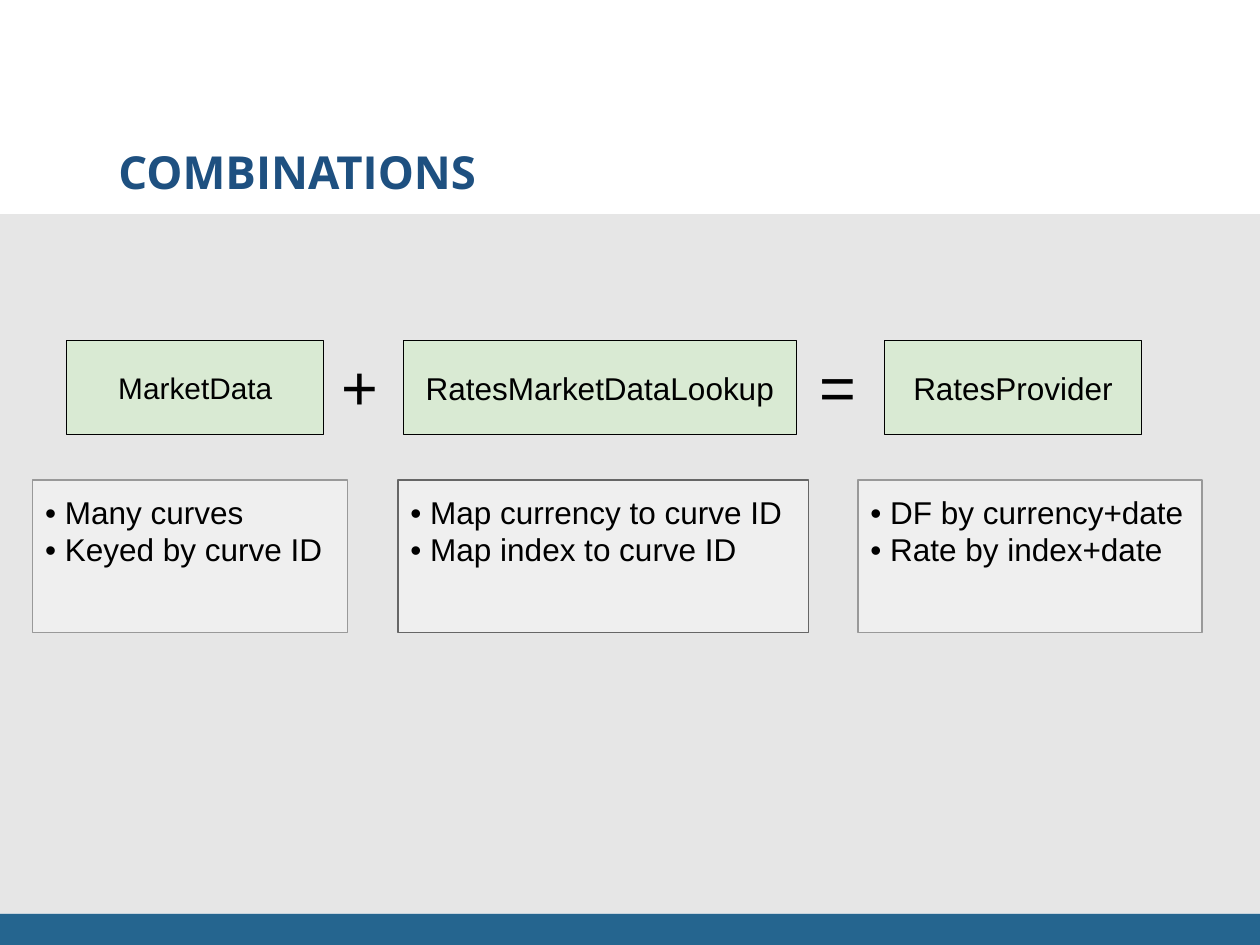
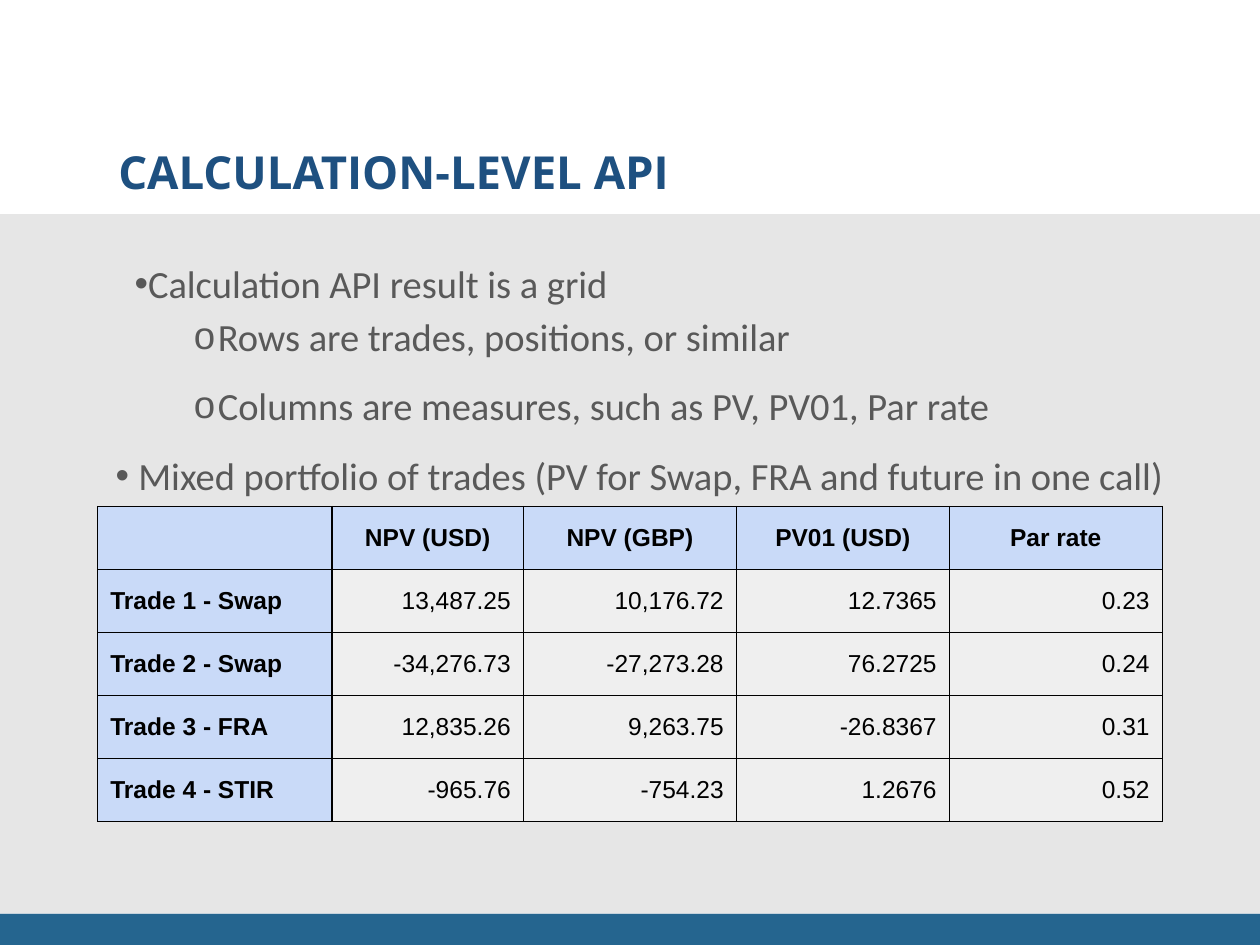
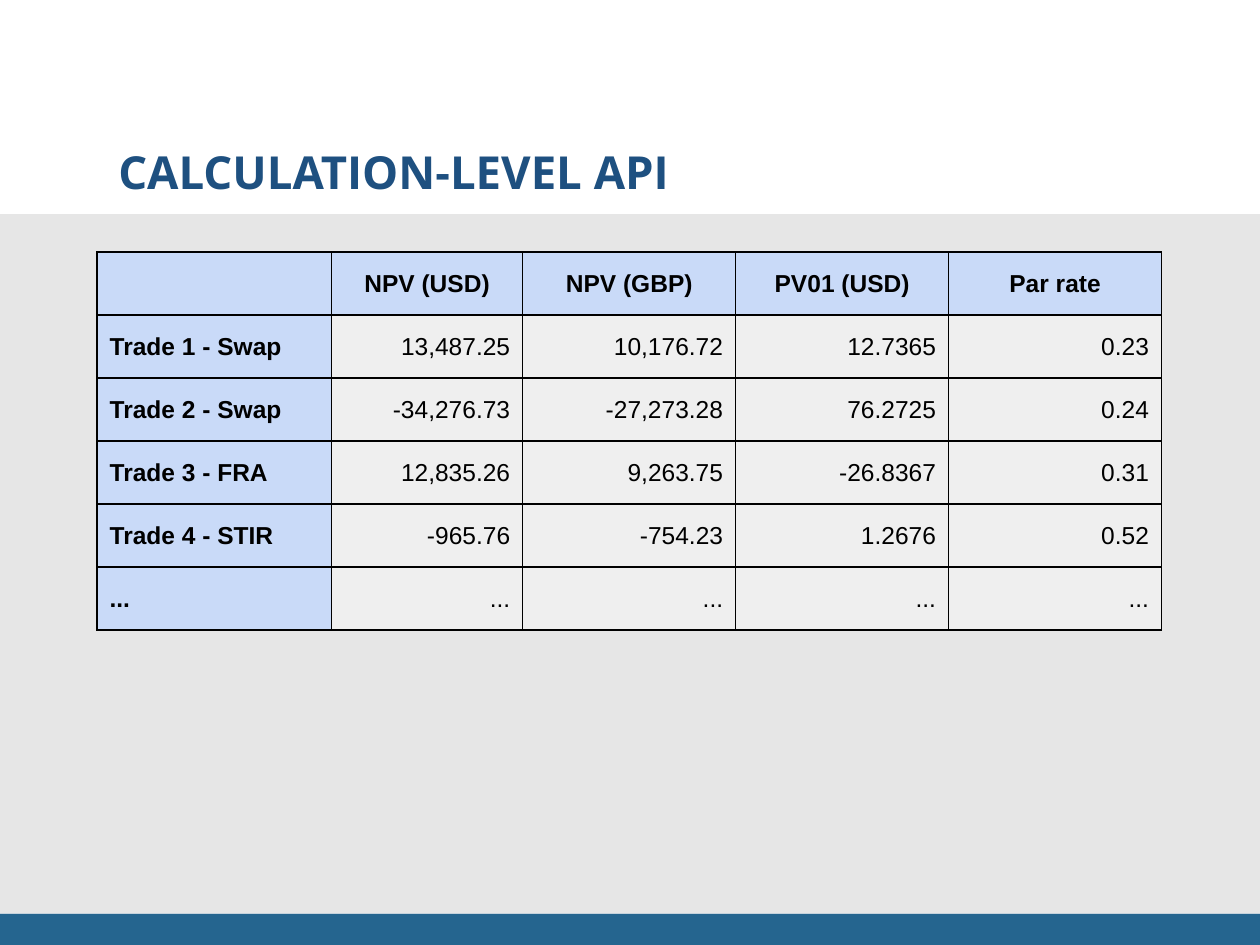
from lxml import etree
from pptx import Presentation
from pptx.dml.color import RGBColor
from pptx.enum.shapes import MSO_SHAPE
from pptx.enum.text import MSO_ANCHOR, PP_ALIGN
from pptx.oxml.ns import qn
from pptx.util import Pt

RECTANGLE = MSO_SHAPE.RECTANGLE
TOP, MIDDLE = MSO_ANCHOR.TOP, MSO_ANCHOR.MIDDLE
LEFT, CENTER, RIGHT = PP_ALIGN.LEFT, PP_ALIGN.CENTER, PP_ALIGN.RIGHT

BLACK = RGBColor(0x00, 0x00, 0x00)
TITLE_BLUE = RGBColor(0x1E, 0x50, 0x80)
FOOTER_BLUE = RGBColor(0x25, 0x65, 0x8F)
PANEL_GRAY = RGBColor(0xE6, 0xE6, 0xE6)
BOX_GRAY = RGBColor(0xEF, 0xEF, 0xEF)
LIGHT_LINE = RGBColor(0x99, 0x99, 0x99)
DARK_LINE = RGBColor(0x66, 0x66, 0x66)
BODY_GRAY = RGBColor(0x59, 0x59, 0x59)
GREEN = RGBColor(0xD9, 0xEA, 0xD3)
HEADER_BLUE = RGBColor(0xC9, 0xDA, 0xF8)
LINE_WIDTH = 0.75
INSET = 7.2

# Content: name, text size, left, width
TERMS = [
    ("MarketData", 17, 38.16, 146.88),
    ("RatesMarketDataLookup", 18, 230.4, 224.64),
    ("RatesProvider", 18, 505.44, 146.88),
]
OPERATORS = [("+", 187.92), ("=", 461.52)]
# Content: lines, left, width, outline
DETAILS = [
    (["• Many curves", "• Keyed by curve ID"], 18.72, 180, LIGHT_LINE),
    (["• Map currency to curve ID", "• Map index to curve ID"], 227.52, 234.72, DARK_LINE),
    (["• DF by currency+date", "• Rate by index+date"], 490.32, 196.56, LIGHT_LINE),
]
# Content: text, bullet, level, margin, indent, line spacing
API_POINTS = [
    ("Calculation API result is a grid", "•", 0, 12.96, -2.16, 1.15),
    ("Rows are trades, positions, or similar", "o", 1, 58.32, -13.68, 1.15),
    ("Columns are measures, such as PV, PV01, Par rate", "o", 1, 58.32, -13.68, 1.5),
    ("Mixed portfolio of trades (PV for Swap, FRA and future in one call)",
     "•", 0, 12.96, -15.12, 1.5),
]
TRADES = [
    ("", "NPV (USD)", "NPV (GBP)", "PV01 (USD)", "Par rate"),
    ("Trade 1 - Swap", "13,487.25", "10,176.72", "12.7365", "0.23"),
    ("Trade 2 - Swap", "-34,276.73", "-27,273.28", "76.2725", "0.24"),
    ("Trade 3 - FRA", "12,835.26", "9,263.75", "-26.8367", "0.31"),
    ("Trade 4 - STIR", "-965.76", "-754.23", "1.2676", "0.52"),
]
MORE_TRADES = ("...",) * 5
COLUMN_WIDTHS = [133.92, 109.44, 121.68, 121.68, 121.68]
ROW_HEIGHT = 36


def write(frame, lines, size=18, font="Arial", color=BLACK, bold=False,
          align=LEFT, anchor=TOP, inset_y=INSET):
    """Fill a text frame with one paragraph per line."""
    frame.word_wrap = True
    frame.vertical_anchor = anchor
    frame.margin_left = frame.margin_right = Pt(INSET)
    frame.margin_top = frame.margin_bottom = Pt(inset_y)
    for number, line in enumerate(lines):
        para = frame.add_paragraph() if number else frame.paragraphs[0]
        para.alignment = align
        span = para.add_run()
        span.text = line
        span.font.name, span.font.size = font, Pt(size)
        span.font.bold, span.font.color.rgb = bold, color


def add_box(page, left, top, width, height, fill, outline=None):
    box = page.shapes.add_shape(RECTANGLE, Pt(left), Pt(top), Pt(width), Pt(height))
    box.shadow.inherit = False
    box.fill.solid()
    box.fill.fore_color.rgb = fill
    if outline is None:
        box.line.fill.background()
    else:
        box.line.color.rgb = outline
        box.line.width = Pt(LINE_WIDTH)
    return box


def add_text(page, left, top, width, height, lines, **style):
    box = page.shapes.add_textbox(Pt(left), Pt(top), Pt(width), Pt(height))
    write(box.text_frame, lines, **style)
    return box.text_frame


def add_page(deck, title):
    page = deck.slides.add_slide(deck.slide_layouts[6])
    add_box(page, 0, 522, 720, 18, FOOTER_BLUE)
    add_box(page, 0, 122.4, 720, 399.6, PANEL_GRAY)
    add_text(page, 60.48, 78.48, 618.48, 36, [title], size=26, font="Open Sans",
             color=TITLE_BLUE, bold=True, inset_y=3.6)
    return page


def set_bullet(para, bullet, level, margin, indent, spacing):
    para.level = level
    para.line_spacing = spacing
    para.space_before = para.space_after = Pt(0)
    props = para._p.get_or_add_pPr()
    props.set("marL", str(Pt(margin)))
    props.set("indent", str(Pt(indent)))
    color = etree.SubElement(props, qn("a:buClr"))
    etree.SubElement(color, qn("a:srgbClr"), val=str(BODY_GRAY))
    etree.SubElement(props, qn("a:buFont"), typeface="Arial")
    etree.SubElement(props, qn("a:buChar"), char=bullet)


def set_borders(cell):
    props = cell._tc.get_or_add_tcPr()
    for position, side in enumerate(("a:lnL", "a:lnR", "a:lnT", "a:lnB")):
        line = etree.Element(qn(side), w=str(Pt(LINE_WIDTH)))
        fill = etree.SubElement(line, qn("a:solidFill"))
        etree.SubElement(fill, qn("a:srgbClr"), val=str(BLACK))
        props.insert(position, line)


def add_trade_table(page, left, top, rows):
    frame = page.shapes.add_table(len(rows), len(COLUMN_WIDTHS), Pt(left), Pt(top),
                                  Pt(sum(COLUMN_WIDTHS)), Pt(ROW_HEIGHT * len(rows)))
    table = frame.table
    for column, width in zip(table.columns, COLUMN_WIDTHS):
        column.width = Pt(width)
    for row_number, row in enumerate(rows):
        table.rows[row_number].height = Pt(ROW_HEIGHT)
        for column_number, value in enumerate(row):
            cell = table.cell(row_number, column_number)
            is_header = row_number == 0 or column_number == 0
            cell.fill.solid()
            cell.fill.fore_color.rgb = HEADER_BLUE if is_header else BOX_GRAY
            set_borders(cell)
            if not value:
                continue
            align = CENTER if row_number == 0 else LEFT if column_number == 0 else RIGHT
            write(cell.text_frame, [value], size=14, bold=is_header, align=align)
            cell.vertical_anchor = MIDDLE
            cell.margin_left = cell.margin_right = Pt(INSET)
            cell.margin_top = cell.margin_bottom = Pt(INSET)


def build_combinations(deck):
    page = add_page(deck, "COMBINATIONS")
    for name, size, left, width in TERMS:
        box = add_box(page, left, 194.4, width, 54, GREEN, BLACK)
        write(box.text_frame, [name], size=size, align=CENTER, anchor=MIDDLE)
    for sign, left in OPERATORS:
        add_text(page, left, 191.52, 38.88, 43.2, [sign], size=36)
    for lines, left, width, outline in DETAILS:
        box = add_box(page, left, 274.32, width, 87.12, BOX_GRAY, outline)
        write(box.text_frame, lines)


def build_calculation_points(deck):
    page = add_page(deck, "CALCULATION-LEVEL API")
    frame = add_text(page, 59.04, 141.12, 619.92, 144.72, [point[0] for point in API_POINTS],
                     size=22, font="Calibri", color=BODY_GRAY, inset_y=3.6)
    for para, (_, *bullet_format) in zip(frame.paragraphs, API_POINTS):
        set_bullet(para, *bullet_format)
    add_trade_table(page, 55.8, 289.44, TRADES)


def build_calculation_grid(deck):
    page = add_page(deck, "CALCULATION-LEVEL API")
    add_trade_table(page, 55.44, 144, TRADES + [MORE_TRADES])


def main():
    deck = Presentation()
    deck.slide_width, deck.slide_height = Pt(720), Pt(540)
    build_combinations(deck)
    build_calculation_points(deck)
    build_calculation_grid(deck)
    deck.save("out.pptx")


if __name__ == "__main__":
    main()
